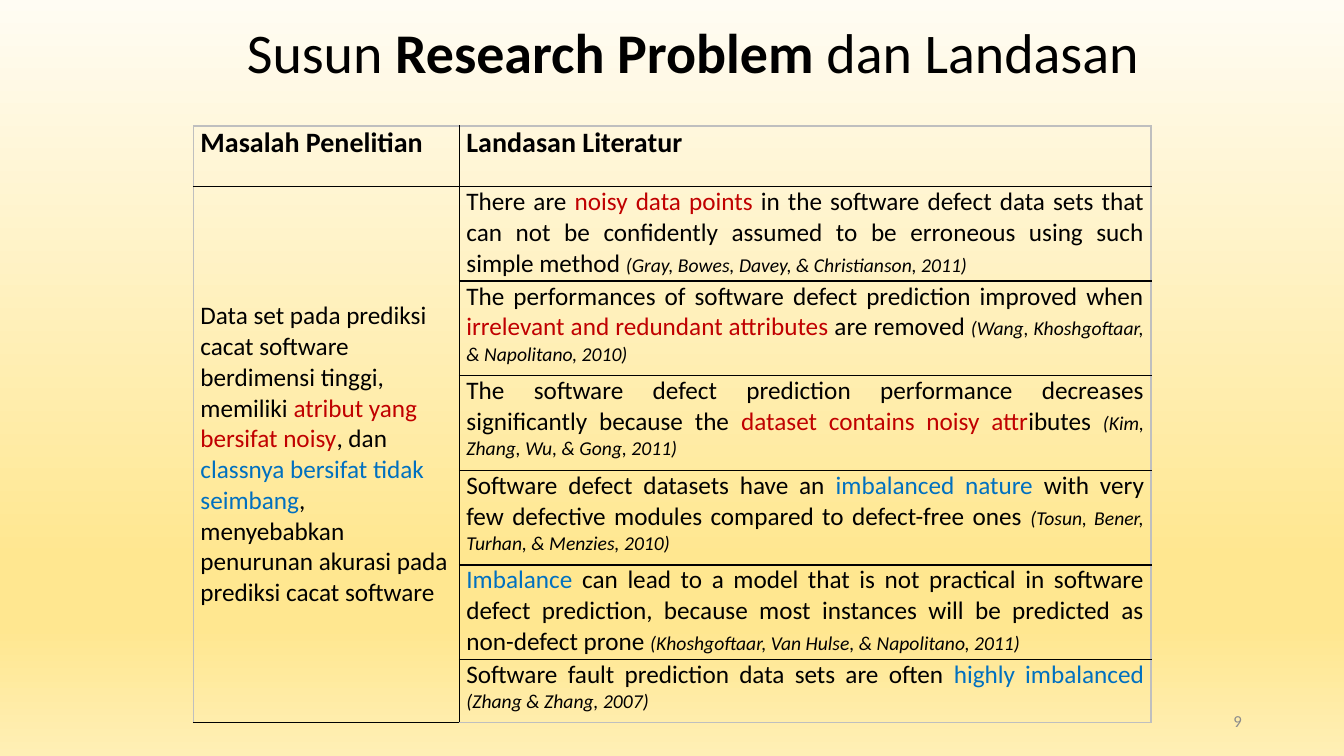
from dataclasses import dataclass
from lxml.etree import SubElement
from pptx import Presentation
from pptx.dml.color import RGBColor
from pptx.enum.text import MSO_ANCHOR, PP_ALIGN
from pptx.oxml.ns import qn
from pptx.util import Pt


@dataclass(frozen=True)
class Theme:
    font: str = "Calibri"
    black: str = "000000"
    red: str = "C00000"
    blue: str = "0070C0"
    gray: str = "8C8C8C"
    edge: str = "BFBFBF"
    fade: tuple = ((0, "FFFCF3"), (74, "FFE790"), (83, "FFE790"), (100, "FFEFB5"))
    title: int = 40
    head: int = 20
    body: int = 18
    cite: int = 14
    page: int = 12


T = Theme()

# Run styles: size, colour, bold, italic
LOOK = {
    "title": (T.title, T.black, False, False),
    "strong": (T.title, T.black, True, False),
    "head": (T.head, T.black, True, False),
    "body": (T.body, T.black, False, False),
    "red": (T.body, T.red, False, False),
    "blue": (T.body, T.blue, False, False),
    "cite": (T.cite, T.black, False, True),
    "page": (T.page, T.gray, False, False),
}


def fill_text(frame, runs, form):
    par = frame.paragraphs[0]
    for key, val in form.items():
        setattr(par, key, val)
    for text, look in runs:
        run = par.add_run()
        run.text = text
        size, tint, bold, slant = LOOK[look]
        font = {"name": T.font, "size": Pt(size), "bold": bold, "italic": slant}
        for key, val in font.items():
            setattr(run.font, key, val)
        run.font.color.rgb = RGBColor.from_string(tint)


def add_edge(cell, side, tint):
    line = SubElement(cell._tc.get_or_add_tcPr(), qn(f"a:ln{side}"), w=str(Pt(1)))
    fill = SubElement(line, qn("a:solidFill"))
    SubElement(fill, qn("a:srgbClr"), val=tint)


deck = Presentation()
deck.slide_width, deck.slide_height = Pt(960), Pt(540)
slide = deck.slides.add_slide(deck.slide_layouts[6])

# Background fading from top to bottom
back = slide.background.fill
back.gradient()
back.gradient_angle = 270
stops = slide._element.find(".//" + qn("a:gsLst"))
for stop in list(stops):
    stops.remove(stop)
for place, tint in T.fade:
    stop = SubElement(stops, qn("a:gs"), pos=str(place * 1000))
    SubElement(stop, qn("a:srgbClr"), val=tint)

# Title and page number
title = [("Susun ", "title"), ("Research Problem ", "strong"), ("dan Landasan", "title")]
boxes = [
    ((169.2, 12.2, 670.3, 54), title, {"line_spacing": 0.9}),
    ((678.2, 500.4, 216, 28.8), [("9", "page")], {"alignment": PP_ALIGN.RIGHT}),
]
for place, runs, form in boxes:
    frame = slide.shapes.add_textbox(*map(Pt, place)).text_frame
    frame.word_wrap = True
    frame.vertical_anchor = MSO_ANCHOR.MIDDLE
    fill_text(frame, runs, form)

# Table wording
heads = ["Masalah Penelitian", "Landasan Literatur"]
issue = [
    ("Data set pada prediksi cacat software berdimensi tinggi, memiliki ", "body"),
    ("atribut yang bersifat noisy", "red"),
    (", dan ", "body"),
    ("classnya bersifat tidak seimbang", "blue"),
    (", menyebabkan penurunan akurasi pada prediksi cacat software", "body"),
]
proofs = [
    [("There are ", "body"),
     ("noisy data points ", "red"),
     ("in the software defect data sets that can not be confidently assumed "
      "to be erroneous using such simple method ", "body"),
     ("(Gray, Bowes, Davey, & Christianson, 2011)", "cite")],
    [("The performances of software defect prediction improved when ", "body"),
     ("irrelevant and redundant attributes", "red"),
     (" are removed ", "body"),
     ("(Wang, Khoshgoftaar, & Napolitano, 2010)", "cite")],
    [("The software defect prediction performance decreases significantly "
      "because the ", "body"),
     ("dataset contains noisy attr", "red"),
     ("ibutes ", "body"),
     ("(Kim, Zhang, Wu, & Gong, 2011)", "cite")],
    [("Software defect datasets have an ", "body"),
     ("imbalanced nature ", "blue"),
     ("with very few defective modules compared to defect-free ones ", "body"),
     ("(Tosun, Bener, Turhan, & Menzies, 2010)", "cite")],
    [("Imbalance", "blue"),
     (" can lead to a model that is not practical in software defect prediction, "
      "because most instances will be predicted as non-defect prone ", "body"),
     ("(Khoshgoftaar, Van Hulse, & Napolitano, 2011)", "cite")],
    [("Software fault prediction data sets are often ", "body"),
     ("highly imbalanced ", "blue"),
     ("(Zhang & Zhang, 2007)", "cite")],
]

# Table grid
wides = [190, 494]
highs = [43.2] + [67.6] * 5 + [45.2]
rows, cols = len(highs), len(wides)
table = slide.shapes.add_table(
    rows, cols, Pt(138.2), Pt(90), Pt(sum(wides)), Pt(sum(highs))).table
table.first_row = table.horz_banding = False
for col, wide in zip(table.columns, wides):
    col.width = Pt(wide)
for row, high in zip(table.rows, highs):
    row.height = Pt(high)

# Cell edges: gray around the table, black inside
pad = {"margin_left": Pt(5), "margin_right": Pt(5), "margin_top": 0, "margin_bottom": 0}
for r in range(rows):
    for c in range(cols):
        cell = table.cell(r, c)
        for key, val in pad.items():
            setattr(cell, key, val)
        outer = {"L": c == 0, "R": c == cols - 1, "T": r == 0, "B": r == rows - 1}
        for side, out in outer.items():
            add_edge(cell, side, T.edge if out else T.black)
        cell.fill.background()

# Cell text
left = {"alignment": PP_ALIGN.LEFT, "space_after": Pt(11)}
full = {"alignment": PP_ALIGN.JUSTIFY, "space_after": Pt(11)}
for c, head in enumerate(heads):
    fill_text(table.cell(0, c).text_frame, [(head, "head")], full)
cause = table.cell(1, 0)
cause.merge(table.cell(rows - 1, 0))
cause.vertical_anchor = MSO_ANCHOR.MIDDLE
fill_text(cause.text_frame, issue, left)
for r, proof in enumerate(proofs, 1):
    fill_text(table.cell(r, 1).text_frame, proof, full)

deck.save("out.pptx")
